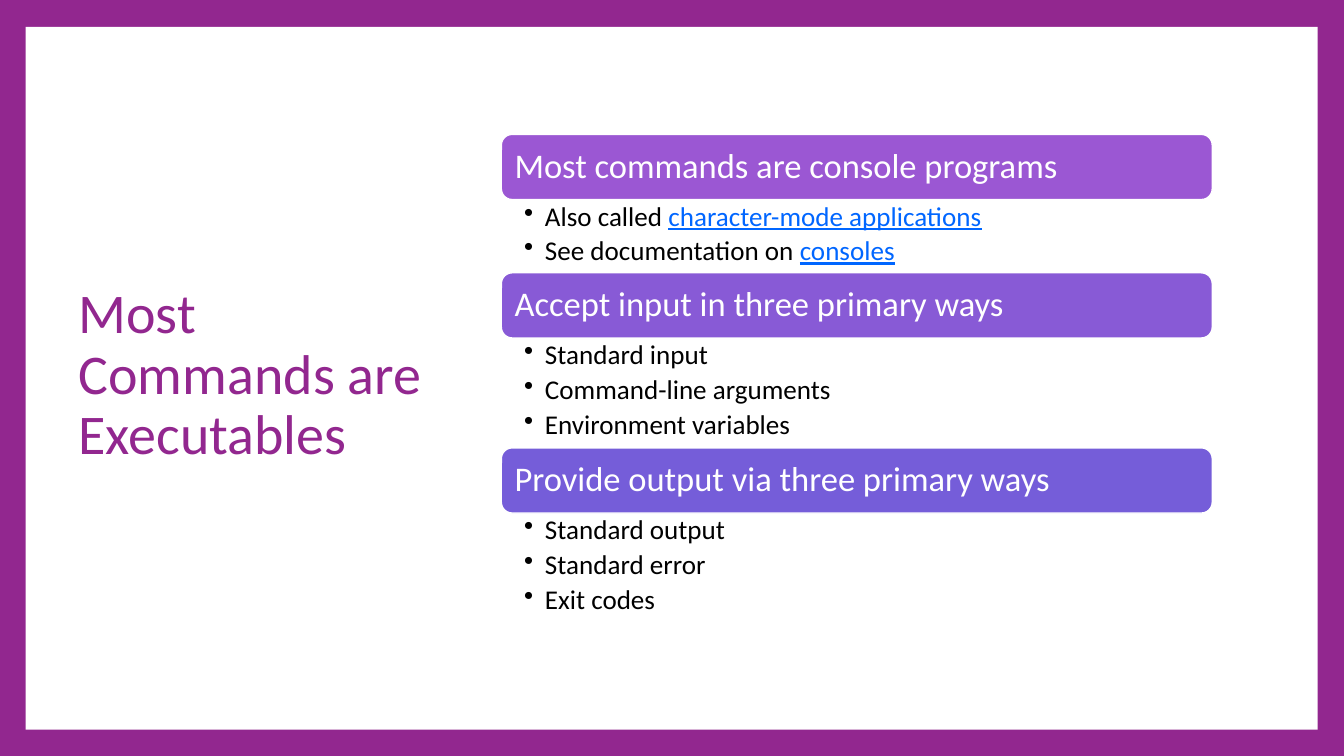
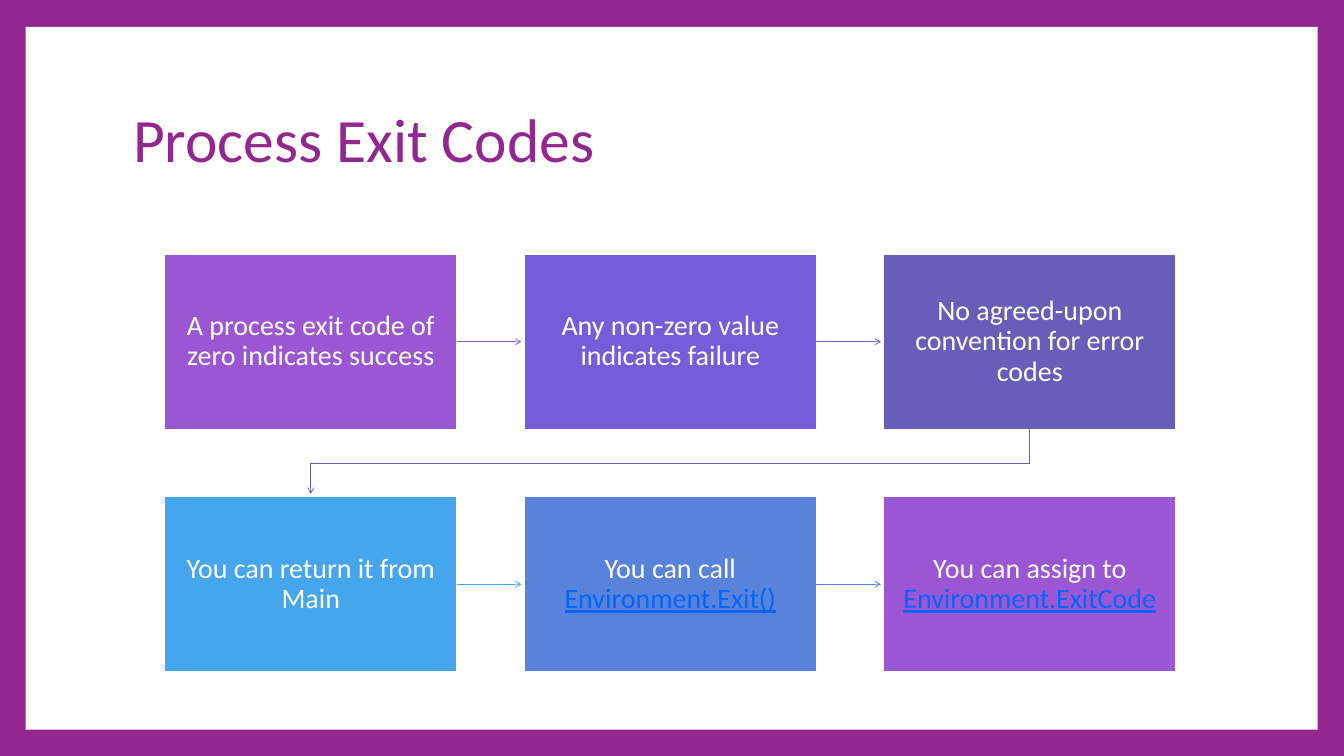
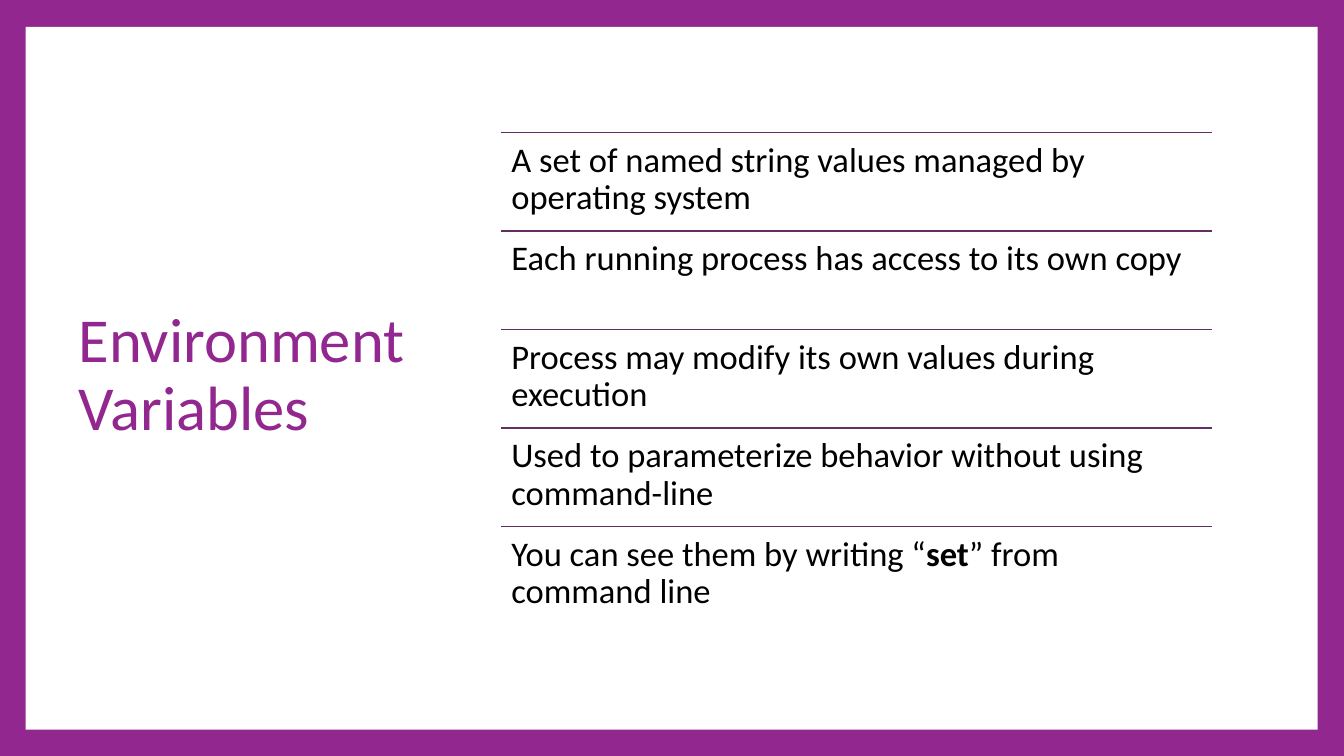
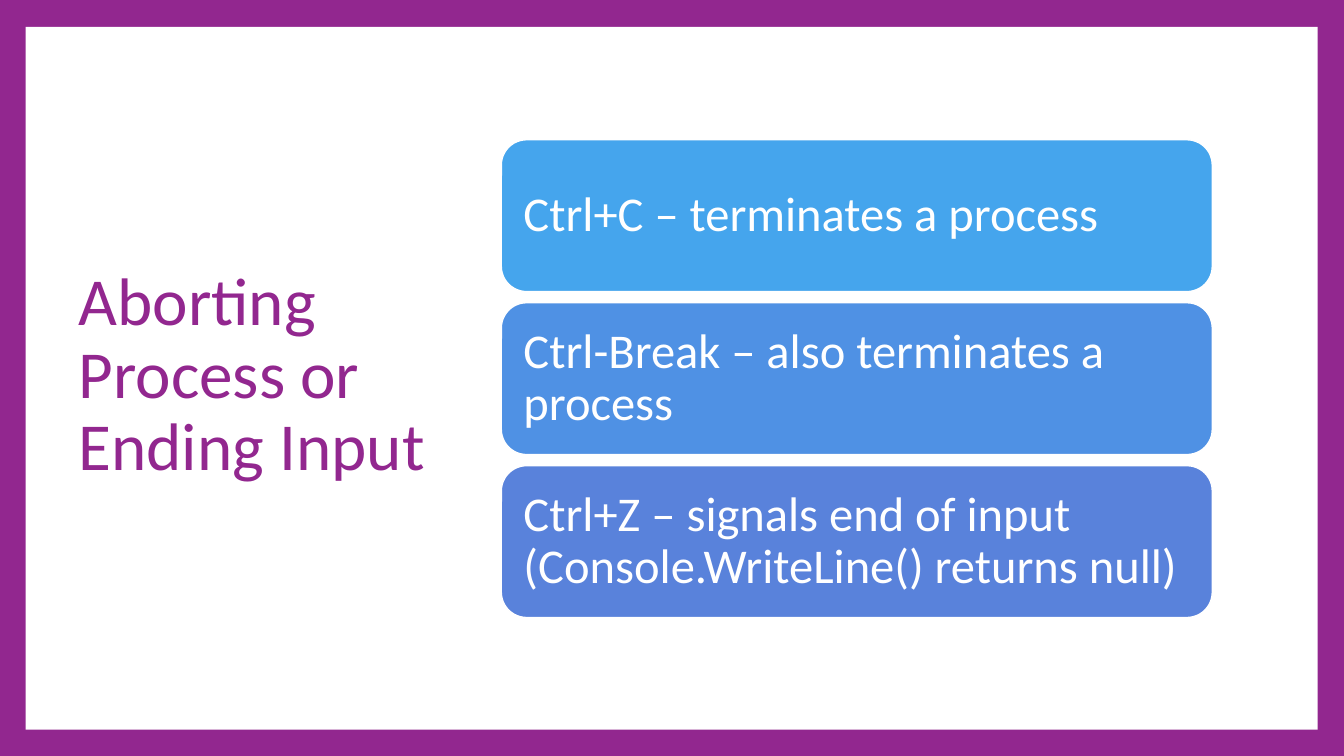
from itertools import pairwise

from lxml.etree import SubElement
from pptx import Presentation
from pptx.dml.color import RGBColor
from pptx.enum.shapes import MSO_CONNECTOR as Connector, MSO_SHAPE as Shape
from pptx.enum.text import MSO_ANCHOR as Anchor, MSO_AUTO_SIZE as AutoSize, PP_ALIGN as Align
from pptx.oxml.ns import qn
from pptx.util import Inches, Pt

FONT = "Calibri"
COLORS = {
    "frame": "92278F",
    "white": "FFFFFF",
    "black": "000000",
    "link": "0066FF",
    "rule": "632E62",
    "orchid": "9B57D3",
    "violet": "885AD6",
    "iris": "755DD9",
    "indigo": "665EB8",
    "sky": "45A5ED",
    "azure": "4F91E4",
    "blue": "5982DB",
}
SIDE_TITLE = (1.07, 1, 5.52, 9.2)
TOP_TITLE = (1.88, 1, 16.2, 2.23)
CONTENT_LEFT, CONTENT_WIDTH = 7.46, 10.58


def rgb(name):
    return RGBColor.from_string(COLORS[name])


def inches(*lengths):
    return [Inches(length) for length in lengths]


def set_margins(frame, left, top, right, bottom):
    frame.word_wrap = True
    frame.auto_size = AutoSize.NONE
    frame.margin_left, frame.margin_top, frame.margin_right, frame.margin_bottom = inches(
        left, top, right, bottom)


def write(para, content, size, color, align=Align.LEFT):
    """Fill a paragraph from a string, or from (text, style) pieces with style "link", "bold" or ""."""
    pieces = [(content, "")] if isinstance(content, str) else content
    para.alignment = align
    para.line_spacing = 0.9
    for text, style in pieces:
        span = para.add_run()
        span.text = text
        span.font.name = FONT
        span.font.size = Pt(size)
        span.font.color.rgb = rgb("link" if style == "link" else color)
        if style == "link":
            span.font.underline = True
        elif style == "bold":
            span.font.bold = True


def add_bullet(para):
    props = para._p.get_or_add_pPr()
    props.set("marL", str(Inches(0.31)))
    props.set("indent", str(-Inches(0.31)))
    SubElement(props, qn("a:buChar")).set("char", "•")


def add_panel(page, kind, box, fill):
    panel = page.shapes.add_shape(kind, *inches(*box))
    panel.shadow.inherit = False
    panel.fill.solid()
    panel.fill.fore_color.rgb = rgb(fill)
    panel.line.color.rgb = rgb("white")
    panel.line.width = Pt(1.5)
    return panel


def add_card(page, kind, box, fill, content, size, margins, align=Align.LEFT):
    card = add_panel(page, kind, box, fill)
    frame = card.text_frame
    set_margins(frame, *margins)
    frame.vertical_anchor = Anchor.MIDDLE
    write(frame.paragraphs[0], content, size, "white", align)
    return card


def add_text(page, box, margins):
    frame = page.shapes.add_textbox(*inches(*box)).text_frame
    set_margins(frame, *margins)
    return frame


def add_line(page, start, end, color, width):
    line = page.shapes.add_connector(Connector.STRAIGHT, *inches(*start, *end))
    line.line.color.rgb = rgb(color)
    line.line.width = Pt(width)
    SubElement(line.element.spPr, qn("a:effectLst"))
    return line


def add_arrowhead(shape):
    outline = shape.element.spPr.find(qn("a:ln"))
    SubElement(outline, qn("a:tailEnd")).set("type", "arrow")


def frame_master(deck, page):
    """Give the master its coloured background and white panel, which every page then shows."""
    master = deck.slide_master
    master.background.fill.solid()
    master.background.fill.fore_color.rgb = rgb("frame")
    panel = add_panel(page, Shape.RECTANGLE, (0.38, 0.4, 19.23, 10.46), "white")
    panel.line.fill.background()
    panel.element.nvSpPr.cNvPr.set("id", "100")
    master.shapes.element.insert(2, panel.element)


def add_page(deck, title, box, size):
    page = deck.slides.add_slide(deck.slide_layouts[5])
    holder = page.shapes.title
    holder.left, holder.top, holder.width, holder.height = inches(*box)
    frame = holder.text_frame
    set_margins(frame, 0.1, 0.05, 0.1, 0.05)
    frame.vertical_anchor = Anchor.MIDDLE
    write(frame.paragraphs[0], title, size, "frame")
    return page


def add_sections(page, left, top, width, sections):
    """Stack header bars, each followed by its bullets."""
    header_height, bullet_height = 0.97, 0.545
    for fill, header, bullets in sections:
        add_card(page, Shape.ROUNDED_RECTANGLE, (left, top, width, header_height),
                 fill, header, 37, [0.15] * 4)
        top += header_height
        height = bullet_height * len(bullets)
        frame = add_text(page, (left, top, width, height), (0.34, 0.05, 0.29, 0.05))
        for index, bullet in enumerate(bullets):
            para = frame.add_paragraph() if index else frame.paragraphs[0]
            para.level = 1
            write(para, bullet, 29, "black")
            para.space_after = Pt(5.8)
            add_bullet(para)
        top += height


def add_step_flow(page, left, top, steps, columns=3):
    """Lay out steps in rows and join each to the next, turning back at a row's end."""
    width, height, gap, clearance = 4.35, 2.61, 1, 0.04
    cards = []
    for index, (fill, content) in enumerate(steps):
        row, column = divmod(index, columns)
        x, y = left + column * (width + gap), top + row * (height + gap)
        card = add_card(page, Shape.RECTANGLE, (x, y, width, height), fill, content, 30,
                        (0.21, 0.22, 0.21, 0.22), Align.CENTER)
        cards.append((card, fill, x, y))

    for (card, color, x, y), (_, _, next_x, next_y) in pairwise(cards):
        if y == next_y:
            middle = y + height / 2
            arrow = add_line(page, (x + width, middle), (next_x - clearance, middle), color, 0.79)
            arrow.begin_connect(card, 3)
        else:
            start, end = x + width / 2, next_x + width / 2
            bottom, turn = y + height, y + height + gap / 2
            corners = [(start, turn), (end, turn), (end, next_y - clearance)]
            builder = page.shapes.build_freeform(*inches(start, bottom))
            builder.add_line_segments([inches(*corner) for corner in corners], close=False)
            arrow = builder.convert_to_shape()
            arrow.shadow.inherit = False
            arrow.fill.background()
            arrow.line.color.rgb = rgb(color)
            arrow.line.width = Pt(0.79)
        add_arrowhead(arrow)


def add_ruled_list(page, left, top, width, height, items):
    row_height = height / len(items)
    for index, item in enumerate(items):
        y = top + index * row_height
        add_line(page, (left, y), (left + width, y), "rule", 1.5)
        frame = add_text(page, (left, y, width, row_height), [0.15] * 4)
        write(frame.paragraphs[0], item, 37, "black")


def add_card_stack(page, left, top, width, height, cards):
    card_height = 2.26
    pitch = (height - card_height) / (len(cards) - 1)
    for index, (fill, content) in enumerate(cards):
        add_card(page, Shape.ROUNDED_RECTANGLE, (left, top + index * pitch, width, card_height),
                 fill, content, 52, [0.22] * 4)


def main():
    deck = Presentation()
    deck.slide_width, deck.slide_height = inches(20, 11.25)

    page = add_page(deck, "Most Commands are Executables", SIDE_TITLE, 60)
    frame_master(deck, page)
    add_sections(page, CONTENT_LEFT, 2, CONTENT_WIDTH, [
        ("orchid", "Most commands are console programs", [
            [("Also called ", ""), ("character-mode applications", "link")],
            [("See documentation on ", ""), ("consoles", "link")],
        ]),
        ("violet", "Accept input in three primary ways",
         ["Standard input", "Command-line arguments", "Environment variables"]),
        ("iris", "Provide output via three primary ways",
         ["Standard output", "Standard error", "Exit codes"]),
    ])

    page = add_page(deck, "Process Exit Codes", TOP_TITLE, 66)
    add_step_flow(page, 2.45, 3.78, [
        ("orchid", "A process exit code of zero indicates success"),
        ("iris", "Any non-zero value indicates failure"),
        ("indigo", "No agreed-upon convention for error codes"),
        ("sky", "You can return it from Main"),
        ("blue", [("You can call ", ""), ("Environment.Exit()", "link")]),
        ("orchid", [("You can assign to ", ""), ("Environment.ExitCode", "link")]),
    ])

    page = add_page(deck, "Environment Variables", SIDE_TITLE, 67)
    add_ruled_list(page, CONTENT_LEFT, 1.97, CONTENT_WIDTH, 7.33, [
        "A set of named string values managed by operating system",
        "Each running process has access to its own copy",
        "Process may modify its own values during execution",
        "Used to parameterize behavior without using command-line",
        [("You can see them by writing “", ""), ("set", "bold"), ("” from command line", "")],
    ])

    page = add_page(deck, "Aborting Process or Ending Input", SIDE_TITLE, 72)
    add_card_stack(page, CONTENT_LEFT, 2.08, CONTENT_WIDTH, 7.11, [
        ("sky", "Ctrl+C – terminates a process"),
        ("azure", "Ctrl-Break – also terminates a process"),
        ("blue", "Ctrl+Z – signals end of input (Console.WriteLine() returns null)"),
    ])

    deck.save("out.pptx")


if __name__ == "__main__":
    main()
